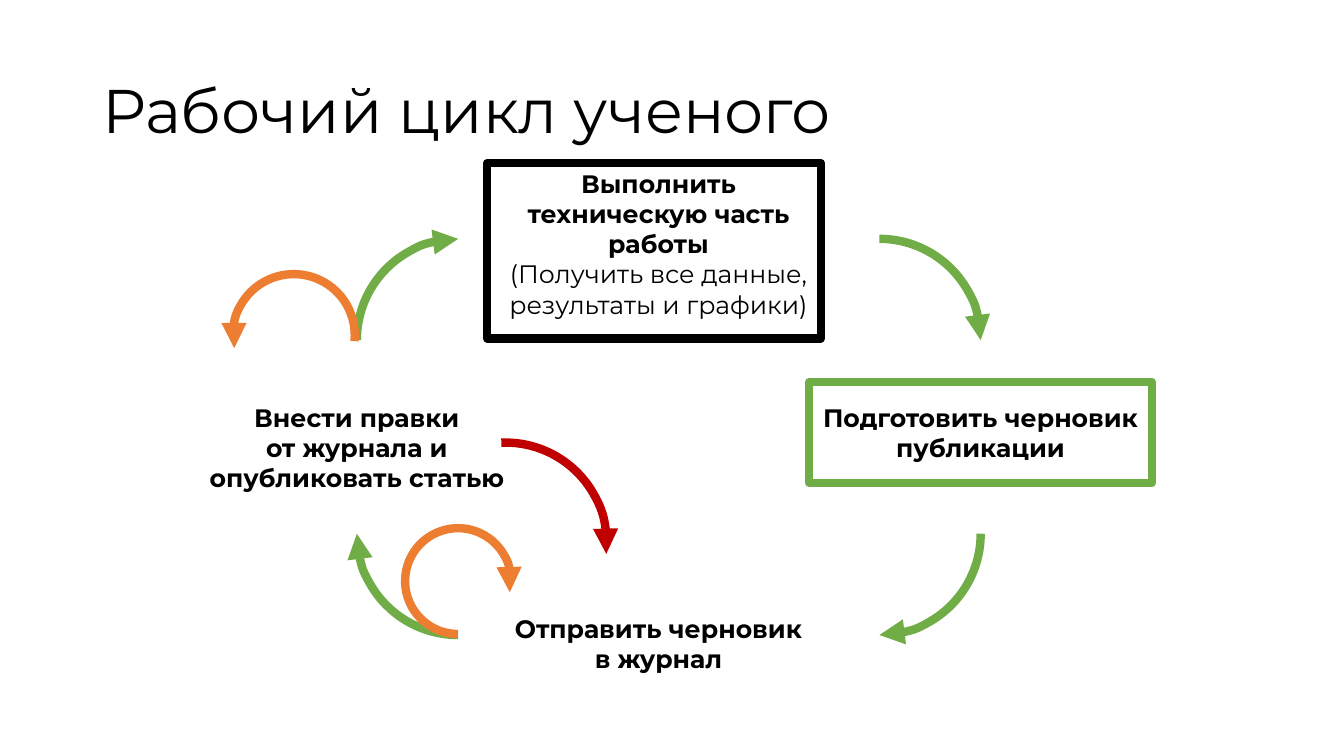
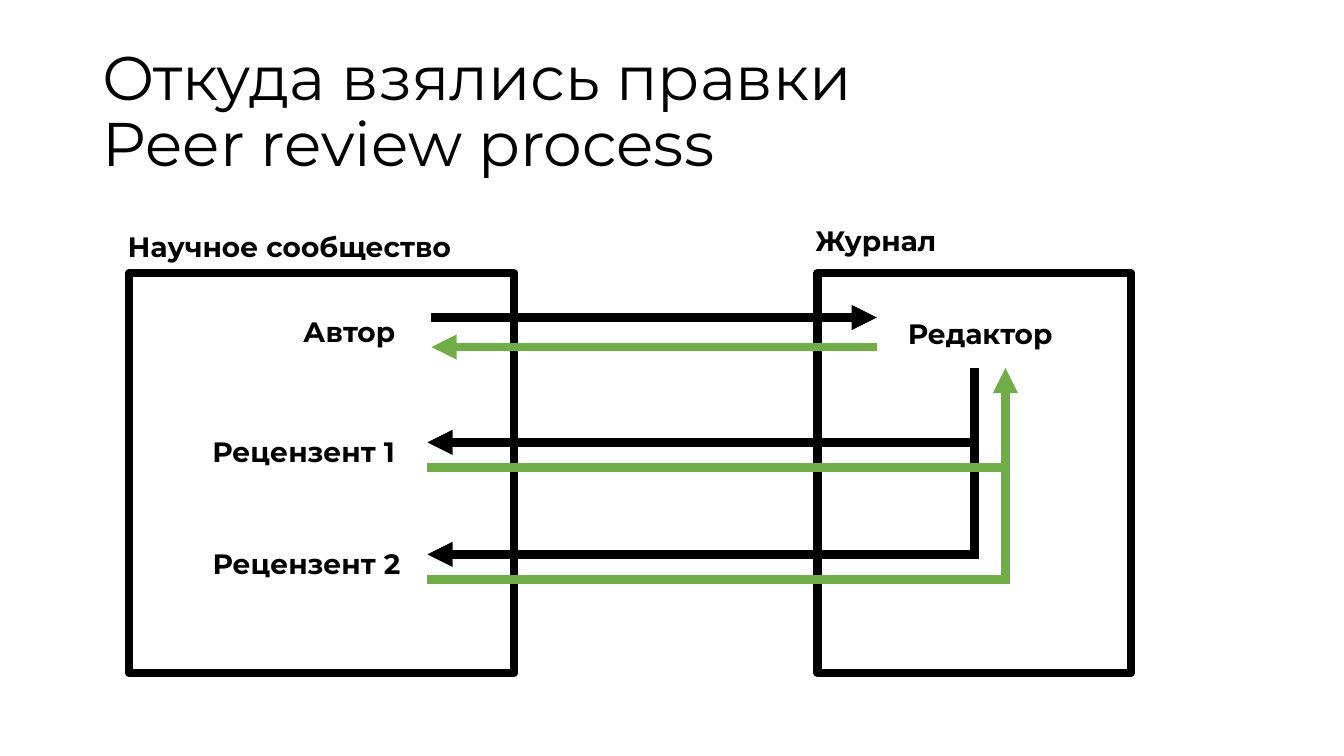
import pptx
import pptx.util
import pptx.dml.color
import pptx.enum.shapes
import pptx.enum.text
import pptx.oxml.ns
from lxml import etree

Pt = pptx.util.Pt
qn = pptx.oxml.ns.qn
SHAPES = pptx.enum.shapes.MSO_SHAPE
ALIGN = pptx.enum.text.PP_ALIGN
ANCHOR = pptx.enum.text.MSO_ANCHOR
AUTO_SIZE = pptx.enum.text.MSO_AUTO_SIZE

# Theme: lengths and type sizes in points
THEME = {
    "font": "Montserrat",
    "colors": {"black": "000000", "green": "70AD47", "orange": "ED7D31", "red": "C00000"},
    "title": 44, "step": 18, "label": 20, "stroke": 6,
    "slide": (960, 540),
    "title_box": (66, 28.75, 828, 104.4),
}

# Slide 1: the work cycle
CYCLE_TITLE = ["Рабочий цикл ученого"]
STEP_WIDTH = 244.8
STEPS = [  # left, top, height, bold lines, regular lines
    (348, 116.5, 116.6, ["Выполнить техническую часть работы"],
     ["(Получить все данные, результаты и графики)"]),
    (578, 283.5, 50.9, ["Подготовить черновик публикации"], []),
    (348, 434.3, 50.9, ["Отправить черновик", "в журнал"], []),
    (132.5, 283.5, 72.7, ["Внести правки", "от журнала и опубликовать статью"], []),
]
ARC_SIZE = 144.7
ARC_COLUMNS = (254.9, 555.8)
ARC_ROWS = (170.6, 308.9)
CYCLE_ARCS = [(1, 0), (1, 1), (0, 1), (0, 0)]  # column, row, clockwise from the top right
RETURN_ARCS = [  # left, top, size, rotation, start and end degrees, color, arrow end
    (289.4, 377.3, 75.6, 0, 90.33, 12.1, "orange", "tail"),
    (288.7, 316.1, ARC_SIZE, 270, 357.64, 95.66, "red", "tail"),
    (166.3, 195.8, 87.1, 270, 257.62, 95.66, "orange", "head"),
]
STEP_FRAMES = [
    ((348, 116.5, 238.3, 125.3), "black"),
    ((578, 272.9, STEP_WIDTH, 72), "green"),
]

# Slide 2: peer review
REVIEW_TITLE = ["Откуда взялись правки", "Peer review process"]
GROUP_TOP, GROUP_HEIGHT = 195.1, 285.8
GROUPS = [(92.2, 275), (583.9, 223.9)]  # left, width
LABEL_HEIGHT = 31.5
LABELS = [  # left, top, width, text
    (84.2, 160.6, 247.7, "Научное сообщество"),
    (209.5, 221, 81.4, "Автор"),
    (575.3, 156.2, 102.2, "Журнал"),
    (641.5, 222.5, 119.5, "Редактор"),
]
REVIEWERS = [  # row, label width, text
    (316, 146.2, "Рецензент 1"),
    (396, 150.5, "Рецензент 2"),
]
REVIEWER_LEFT, REVIEWER_RISE = 144.7, 9.5
AUTHOR_X, EDITOR_X, REVIEWER_X = 308.2, 626.4, 305.3
REQUEST_X, REPLY_X = 696.2, 718.2
SUBMIT_Y, DECISION_Y, EDITOR_BOTTOM = 226.8, 247.9, 262.8
REPLY_GAP = 18


def apply_format(target, values):
    for name, value in values.items():
        setattr(target, name, value)


def rgb(color):
    return pptx.dml.color.RGBColor.from_string(THEME["colors"][color])


def add_text(slide, box, lines, size, wrap=True, anchor=ANCHOR.TOP,
             auto_size=AUTO_SIZE.SHAPE_TO_FIT_TEXT, **paragraph_format):
    """Add a text box; lines are (text, bold) pairs."""
    frame = slide.shapes.add_textbox(*map(Pt, box)).text_frame
    apply_format(frame, {"word_wrap": wrap, "vertical_anchor": anchor, "auto_size": auto_size})
    for index, (text, bold) in enumerate(lines):
        paragraph = frame.add_paragraph() if index else frame.paragraphs[0]
        apply_format(paragraph, paragraph_format)
        run = paragraph.add_run()
        run.text = text
        apply_format(run.font, {"name": THEME["font"], "size": Pt(size), "bold": bold})
        run.font.color.rgb = rgb("black")


def add_title(slide, lines):
    add_text(slide, THEME["title_box"], [(line, False) for line in lines], THEME["title"],
             anchor=ANCHOR.MIDDLE, auto_size=AUTO_SIZE.NONE, line_spacing=0.9)


def style_line(shape, color, arrow=None):
    """Set the stroke; arrow is head (line start), tail (line end) or None."""
    shape.line.color.rgb = rgb(color)
    shape.line.width = Pt(THEME["stroke"])
    if arrow:
        line = shape.element.spPr.find(qn("a:ln"))
        etree.SubElement(line, qn(f"a:{arrow}End"), type="triangle")


def add_outline(slide, kind, box, color, arrow=None):
    shape = slide.shapes.add_shape(kind, *map(Pt, box))
    shape.shadow.inherit = False
    shape.fill.background()
    style_line(shape, color, arrow)
    return shape


def add_arc(slide, left, top, size, rotation, start, end, color, arrow):
    arc = add_outline(slide, SHAPES.ARC, (left, top, size, size), color, arrow)
    arc.rotation = rotation
    for index, degrees in enumerate((start, end)):
        arc.adjustments[index] = degrees * 0.6  # 60000 units a degree, scaled by 100000


def add_line(slide, start, end, color, arrow=None):
    connector = slide.shapes.add_connector(
        pptx.enum.shapes.MSO_CONNECTOR.STRAIGHT, *map(Pt, start + end))
    style_line(connector, color, arrow)
    etree.SubElement(connector.element.spPr, qn("a:effectLst"))


def build_cycle(slide):
    add_title(slide, CYCLE_TITLE)
    for turn, (column, row) in enumerate(CYCLE_ARCS):
        add_arc(slide, ARC_COLUMNS[column], ARC_ROWS[row], ARC_SIZE, turn * 90,
                270, 0, "green", "tail")
    for left, top, height, bold_lines, regular_lines in STEPS:
        lines = [(line, True) for line in bold_lines] + [(line, False) for line in regular_lines]
        add_text(slide, (left, top, STEP_WIDTH, height), lines, THEME["step"],
                 alignment=ALIGN.CENTER)
    for arc in RETURN_ARCS:
        add_arc(slide, *arc)
    for box, color in STEP_FRAMES:
        add_outline(slide, SHAPES.RECTANGLE, box, color)


def build_review(slide):
    add_title(slide, REVIEW_TITLE)
    for left, width in GROUPS:
        add_outline(slide, SHAPES.RECTANGLE, (left, GROUP_TOP, width, GROUP_HEIGHT), "black")
    reviewer_labels = [(REVIEWER_LEFT, row - REVIEWER_RISE, width, text)
                       for row, width, text in REVIEWERS]
    for left, top, width, text in LABELS + reviewer_labels:
        add_text(slide, (left, top, width, LABEL_HEIGHT), [(text, True)], THEME["label"],
                 wrap=False)

    # Requests in black, replies in green; trunks reach past the last row to square the corner
    half_stroke = THEME["stroke"] / 2
    last_row = REVIEWERS[-1][0]
    add_line(slide, (AUTHOR_X, SUBMIT_Y), (EDITOR_X, SUBMIT_Y), "black", "tail")
    add_line(slide, (REQUEST_X, EDITOR_BOTTOM), (REQUEST_X, last_row + half_stroke), "black")
    for row, _, _ in REVIEWERS:
        add_line(slide, (REQUEST_X, row), (REVIEWER_X, row), "black", "tail")
    add_line(slide, (REPLY_X, EDITOR_BOTTOM), (REPLY_X, last_row + REPLY_GAP + half_stroke),
             "green", "head")
    for row, _, _ in REVIEWERS:
        reply_row = row + REPLY_GAP
        add_line(slide, (REPLY_X, reply_row), (REVIEWER_X, reply_row), "green")
    add_line(slide, (AUTHOR_X, DECISION_Y), (EDITOR_X, DECISION_Y), "green", "head")


def main():
    presentation = pptx.Presentation()
    width, height = THEME["slide"]
    apply_format(presentation, {"slide_width": Pt(width), "slide_height": Pt(height)})
    for build in (build_cycle, build_review):
        build(presentation.slides.add_slide(presentation.slide_layouts[6]))
    presentation.save("out.pptx")


if __name__ == "__main__":
    main()
